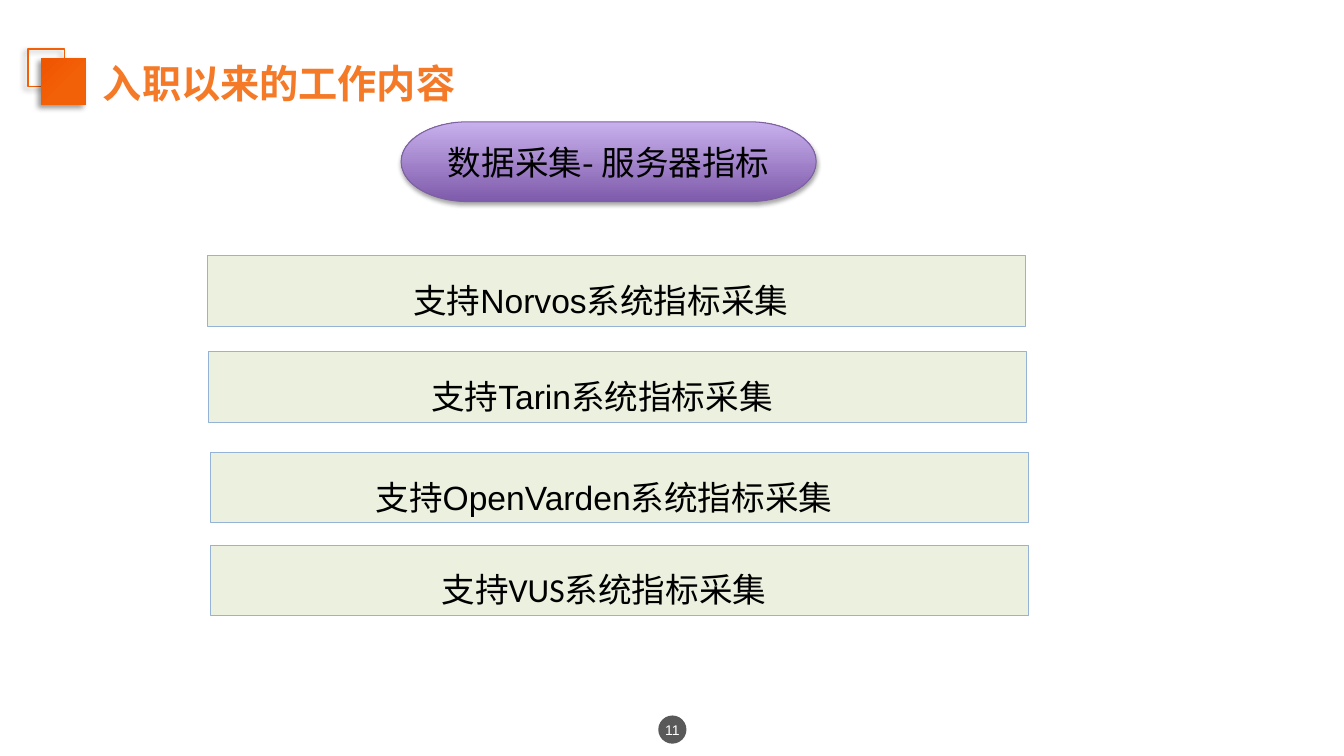
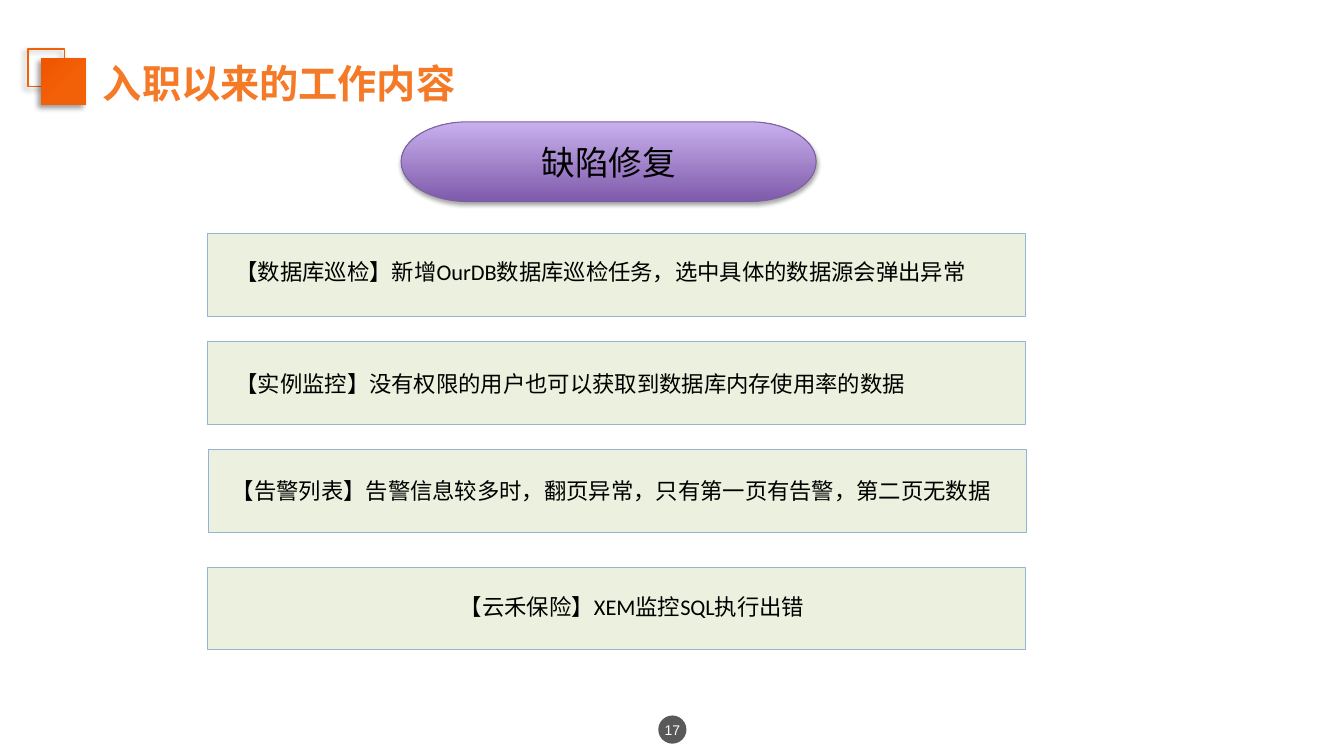
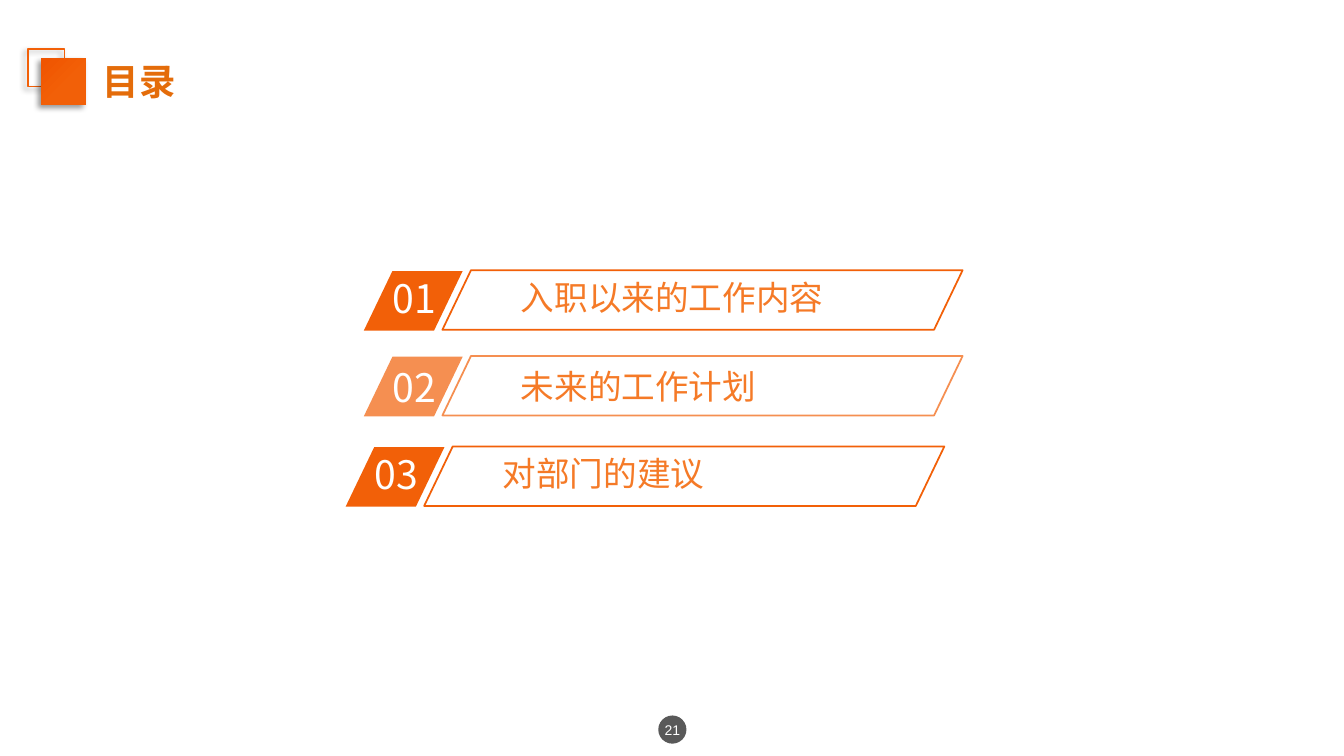
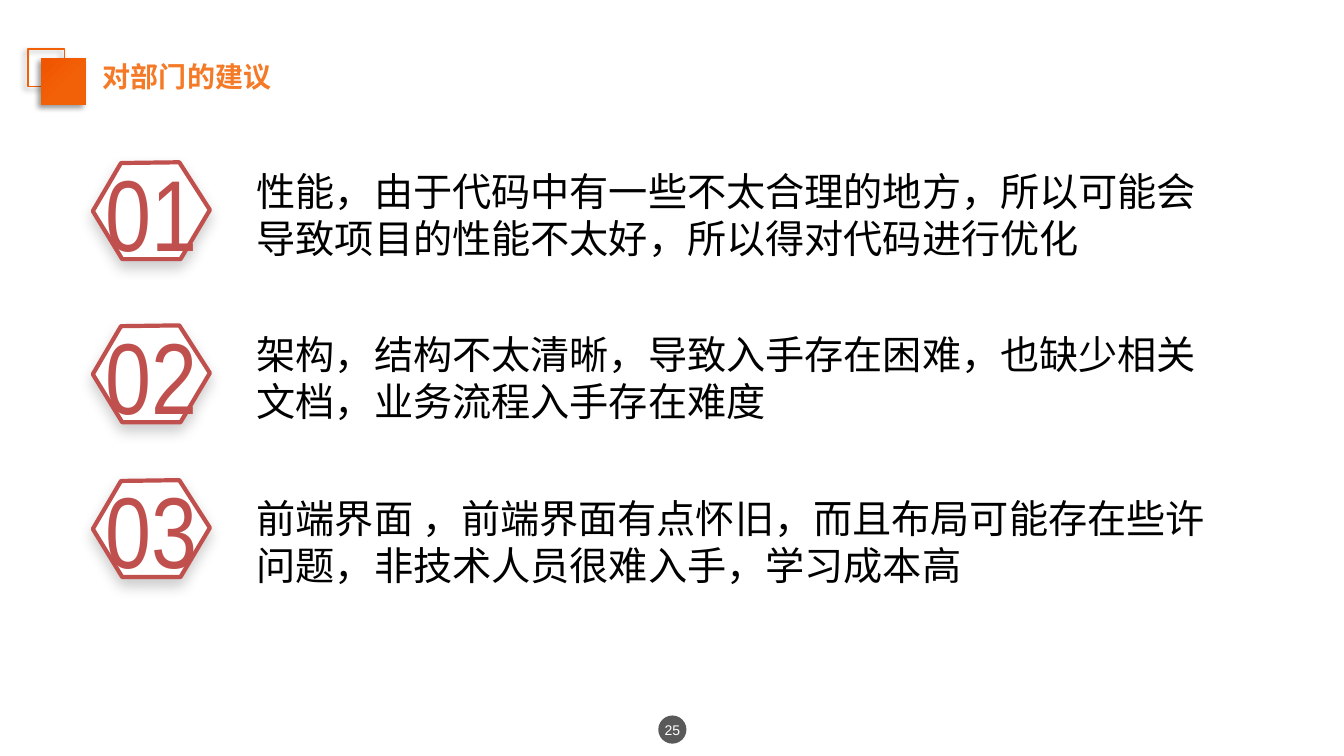
from dataclasses import dataclass
from typing import NamedTuple

from lxml import etree
from pptx import Presentation
from pptx.dml.color import RGBColor
from pptx.enum.shapes import MSO_SHAPE
from pptx.enum.text import MSO_ANCHOR, PP_ALIGN
from pptx.oxml.ns import qn
from pptx.util import Cm, Pt

RECT = MSO_SHAPE.RECTANGLE
OVAL = MSO_SHAPE.OVAL
PILL = MSO_SHAPE.FLOWCHART_TERMINATOR
SLANT = MSO_SHAPE.PARALLELOGRAM
TOP, MIDDLE = MSO_ANCHOR.TOP, MSO_ANCHOR.MIDDLE
LEFT, CENTER = PP_ALIGN.LEFT, PP_ALIGN.CENTER
TITLE_ONLY = 5


@dataclass(frozen=True)
class Theme:
    orange: str = "F26008"
    orange_deep: str = "F05500"
    title: str = "F57A27"
    agenda_title: str = "E46C0A"
    purple_dark: str = "7F5BAB"
    purple_light: str = "C8B0ED"
    purple_line: str = "7D60A0"
    bar: str = "EBF1DE"
    bar_line: str = "95B3D7"
    red: str = "C0504D"
    grey: str = "595959"
    black: str = "000000"
    white: str = "FFFFFF"
    cjk: str = "Noto Sans CJK SC"
    sans: str = "Arial"
    narrow: str = "Arial Narrow"
    body: str = "Calibri"
    page_pt: int = 10
    small_pt: int = 16
    short_title_pt: int = 20
    label_pt: int = 24
    agenda_title_pt: int = 26
    large_pt: int = 28
    hexagon_pt: int = 72


T = Theme()


class Box(NamedTuple):
    """Left, top, width and height in centimetres."""
    left: float
    top: float
    width: float
    height: float

    def emu(self) -> list[int]:
        return [Cm(v) for v in self]


class Style(NamedTuple):
    size: int
    font: str
    color: str
    bold: bool = False


class Shadow(NamedTuple):
    alpha: int
    blur: float
    distance: float
    angle: int


class Bar(NamedTuple):
    text: str
    left: float
    top: float
    label: Box
    font: str = T.body


class AgendaItem(NamedTuple):
    number: str
    text: str
    left: float
    top: float
    drop: float = 0
    faded: bool = False


class Advice(NamedTuple):
    number: str
    text: str
    hexagon_top: float
    text_top: float


ICON_SHADOW = Shadow(40, 4, 3, 135)
PILL_SHADOW = Shadow(35, 3.1, 1.8, 90)
HEXAGON_SHADOW = Shadow(20, 10, 5, 90)
HEXAGON = [(0, 1.23), (0.71, 0.02), (2.18, 0), (2.95, 1.2), (2.21, 2.44), (0.74, 2.44)]


def rgb(color: str) -> RGBColor:
    return RGBColor.from_string(color)


def write(sp, text: str, style: Style, align=LEFT, anchor=TOP, spacing: float | None = None) -> None:
    tf = sp.text_frame
    tf.word_wrap = True
    tf.vertical_anchor = anchor
    p = tf.paragraphs[0]
    p.alignment = align
    if spacing:
        p.line_spacing = spacing
    r = p.add_run()
    r.text = text
    r.font.size = Pt(style.size)
    r.font.name = style.font
    r.font.bold = style.bold
    r.font.color.rgb = rgb(style.color)
    etree.SubElement(r.font._element, qn("a:ea"), typeface=T.cjk)


def add_text(shapes, box: Box, text: str, style: Style, align=LEFT, spacing: float | None = None) -> None:
    write(shapes.add_textbox(*box.emu()), text, style, align, spacing=spacing)


def paint(sp, fill: str | None = None, line: str | None = None, width: float = 0.75) -> None:
    """Set a flat fill and line, None meaning absent, and drop the shadow."""
    sp.shadow.inherit = False
    if fill:
        sp.fill.solid()
        sp.fill.fore_color.rgb = rgb(fill)
    else:
        sp.fill.background()
    if line:
        sp.line.color.rgb = rgb(line)
        sp.line.width = Pt(width)
    else:
        sp.line.fill.background()


def add_shape(shapes, kind, box: Box, fill: str | None = None, line: str | None = None, width: float = 0.75):
    sp = shapes.add_shape(kind, *box.emu())
    paint(sp, fill, line, width)
    return sp


def add_gradient(sp, angle: int, *stops: tuple[float, str]) -> None:
    sp.fill.gradient()
    sp.fill.gradient_angle = angle
    for stop, (position, color) in zip(sp.fill.gradient_stops, stops):
        stop.position = position
        stop.color.rgb = rgb(color)


def add_shadow(sp, shadow: Shadow) -> None:
    effects = sp.element.spPr.find(qn("a:effectLst"))
    outer = etree.SubElement(effects, qn("a:outerShdw"), blurRad=str(Pt(shadow.blur)),
                             dist=str(Pt(shadow.distance)), dir=str(shadow.angle * 60000),
                             rotWithShape="0")
    color = etree.SubElement(outer, qn("a:srgbClr"), val=T.black)
    etree.SubElement(color, qn("a:alpha"), val=str(shadow.alpha * 1000))


def fade(sp, percent: int) -> None:
    """Make the fill and line colours partly transparent."""
    for color in sp.element.spPr.iter(qn("a:srgbClr")):
        etree.SubElement(color, qn("a:alpha"), val=str(percent * 1000))


def add_slide(prs, title: str, page: int, size: int = T.large_pt, color: str = T.title):
    """Add a slide with its title, corner icon and page number."""
    s = prs.slides.add_slide(prs.slide_layouts[TITLE_ONLY])
    sp = add_shape(s.shapes, OVAL, Box(16.59, 18.03, 0.71, 0.71), T.grey)
    tf = sp.text_frame
    tf.margin_left = tf.margin_top = tf.margin_right = tf.margin_bottom = 0
    write(sp, str(page), Style(T.page_pt, T.sans, T.white), CENTER, MIDDLE)

    frame = add_shape(s.shapes, RECT, Box(0.71, 1.24, 0.91, 0.94), line=T.orange, width=1)
    add_shadow(frame, ICON_SHADOW)
    square = add_shape(s.shapes, RECT, Box(1.04, 1.47, 1.12, 1.17))
    add_gradient(square, 315, (0.03, T.orange_deep), (0.59, T.orange))
    add_shadow(square, ICON_SHADOW)

    sp = s.shapes.title
    sp.left, sp.top, sp.width, sp.height = Box(2.34, 1.37, 18.26, 1.45).emu()
    write(sp, title, Style(size, T.cjk, color, True))
    return s


def add_heading(s, text: str) -> None:
    sp = add_shape(s.shapes, PILL, Box(10.11, 3.07, 10.46, 2.01), line=T.purple_line)
    add_gradient(sp, 90, (0, T.purple_dark), (1, T.purple_light))
    add_shadow(sp, PILL_SHADOW)
    write(sp, text, Style(T.label_pt, T.cjk, T.black), CENTER, MIDDLE)


def add_bars(s, bars: list[Bar], height: float, size: int, spacing: float | None = None) -> None:
    for bar in bars:
        add_shape(s.shapes, RECT, Box(bar.left, bar.top, 20.62, height), T.bar, T.bar_line)
        add_text(s.shapes, bar.label, bar.text, Style(size, bar.font, T.black), CENTER, spacing)


def add_agenda_item(s, item: AgendaItem) -> None:
    shapes = s.shapes.add_group_shape().shapes
    x, y = item.left, item.top
    tag = add_shape(shapes, SLANT, Box(x, y, 2.49, 1.5), T.orange)
    frame = add_shape(shapes, SLANT, Box(x + 1.98, y - 0.02, 13.11, 1.5), line=T.orange, width=1.25)
    for sp in (tag, frame):
        sp.adjustments[0] = 0.48
        if item.faded:
            fade(sp, 70)
    add_text(shapes, Box(x + 0.48, y - 0.05 + item.drop, 2.13, 1.5), item.number,
             Style(T.large_pt, T.cjk, T.white))
    add_text(shapes, Box(x + 3.71, y + 0.03 + item.drop, 9.6, 1.22), item.text,
             Style(T.label_pt, T.cjk, T.title))


def add_advice(s, advice: Advice) -> None:
    points = [(Cm(2.34 + x), Cm(advice.hexagon_top + y)) for x, y in HEXAGON]
    builder = s.shapes.build_freeform(*points[0])
    builder.add_line_segments(points[1:], close=True)
    sp = builder.convert_to_shape()
    paint(sp, T.white, T.red, 3)
    add_shadow(sp, HEXAGON_SHADOW)
    write(sp, advice.number, Style(T.hexagon_pt, T.narrow, T.red), CENTER, MIDDLE)
    add_text(s.shapes, Box(6.22, advice.text_top, 24.41, 2.64), advice.text,
             Style(T.large_pt, T.body, T.black))


def build_metrics(prs) -> None:
    s = add_slide(prs, "入职以来的工作内容", 11)
    add_heading(s, "数据采集- 服务器指标")
    rows = [("Norvos", 5.23, 6.45, T.sans), ("Tarin", 5.26, 8.86, T.sans),
            ("OpenVarden", 5.31, 11.4, T.sans), ("VUS", 5.31, 13.74, T.body)]
    bars = [Bar(f"支持{name}系统指标采集", left, top, Box(left + 0.26, top + 0.28, 19.3, 1.4), font)
            for name, left, top, font in rows]
    add_bars(s, bars, 1.78, T.label_pt, 1.2)


def build_fixes(prs) -> None:
    s = add_slide(prs, "入职以来的工作内容", 17)
    add_heading(s, "缺陷修复")
    add_bars(s, [
        Bar("【数据库巡检】新增OurDB数据库巡检任务，选中具体的数据源会弹出异常",
            5.23, 5.89, Box(5.49, 6.38, 19.3, 0.94)),
        Bar("【实例监控】没有权限的用户也可以获取到数据库内存使用率的数据",
            5.23, 8.61, Box(5.49, 9.19, 17.78, 0.94)),
        Bar("【告警列表】告警信息较多时，翻页异常，只有第一页有告警，第二页无数据",
            5.26, 11.33, Box(5.23, 11.91, 20.37, 0.94)),
        Bar("【云禾保险】XEM监控SQL执行出错",
            5.23, 14.3, Box(5.49, 14.83, 20.88, 0.94)),
    ], 2.08, T.small_pt)


def build_agenda(prs) -> None:
    s = add_slide(prs, "目录", 21, T.agenda_title_pt, T.agenda_title)
    for item in (AgendaItem("01", "入职以来的工作内容", 9.17, 6.83),
                 AgendaItem("02", "未来的工作计划", 9.17, 8.99, 0.08, True),
                 AgendaItem("03", "对部门的建议", 8.71, 11.27)):
        add_agenda_item(s, item)


def build_advice(prs) -> None:
    s = add_slide(prs, "对部门的建议", 25, T.short_title_pt)
    for advice in (
        Advice("01", "性能，由于代码中有一些不太合理的地方，所以可能会导致项目的性能不太好，所以得对代码进行优化",
               4.09, 4.09),
        Advice("02", "架构，结构不太清晰，导致入手存在困难，也缺少相关文档，业务流程入手存在难度",
               8.2, 8.2),
        Advice("03", "前端界面 ，前端界面有点怀旧，而且布局可能存在些许问题，非技术人员很难入手，学习成本高",
               12.1, 12.32),
    ):
        add_advice(s, advice)


def main() -> None:
    prs = Presentation()
    prs.slide_width, prs.slide_height = Cm(33.87), Cm(19.05)
    for build in (build_metrics, build_fixes, build_agenda, build_advice):
        build(prs)
    prs.save("out.pptx")


if __name__ == "__main__":
    main()
